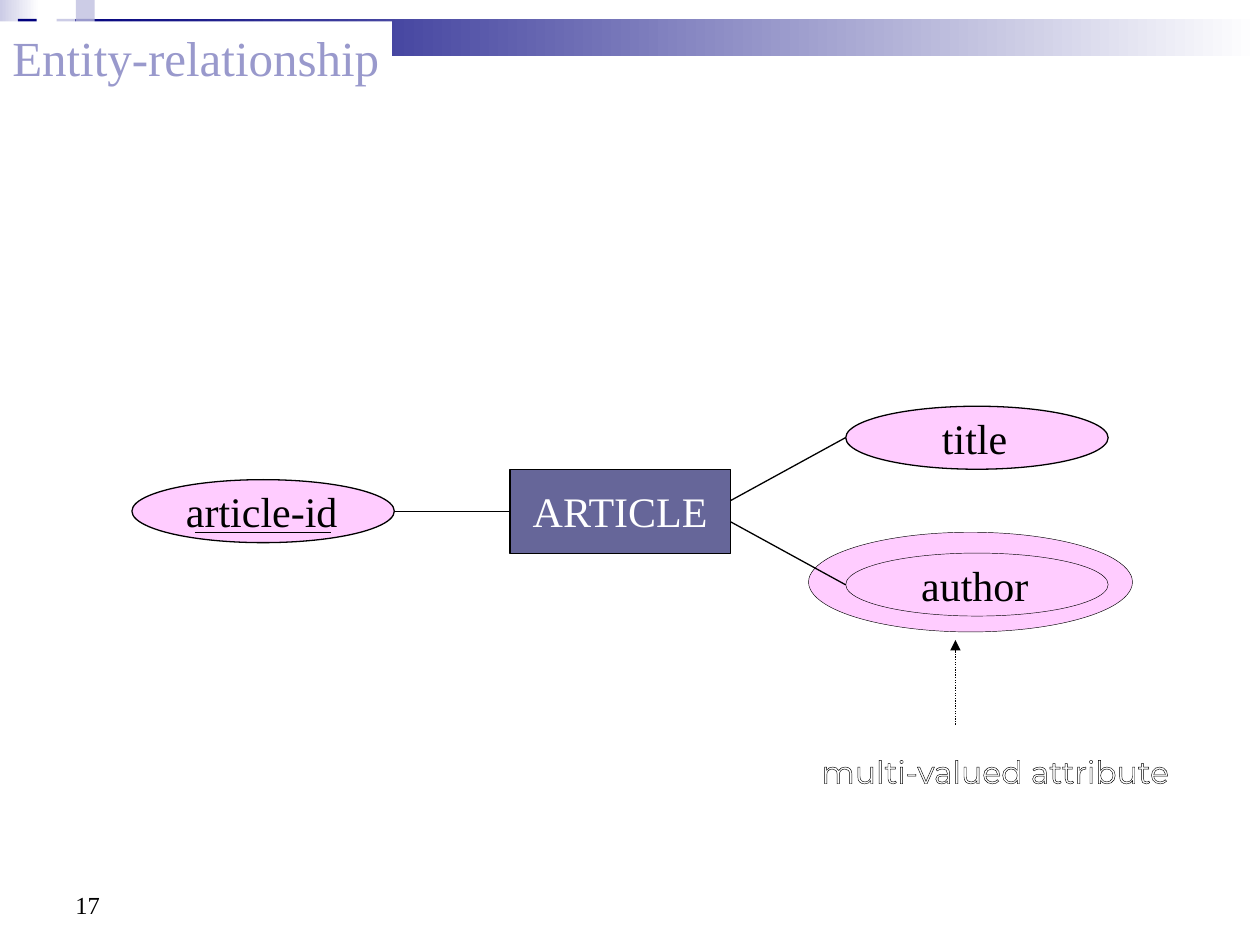
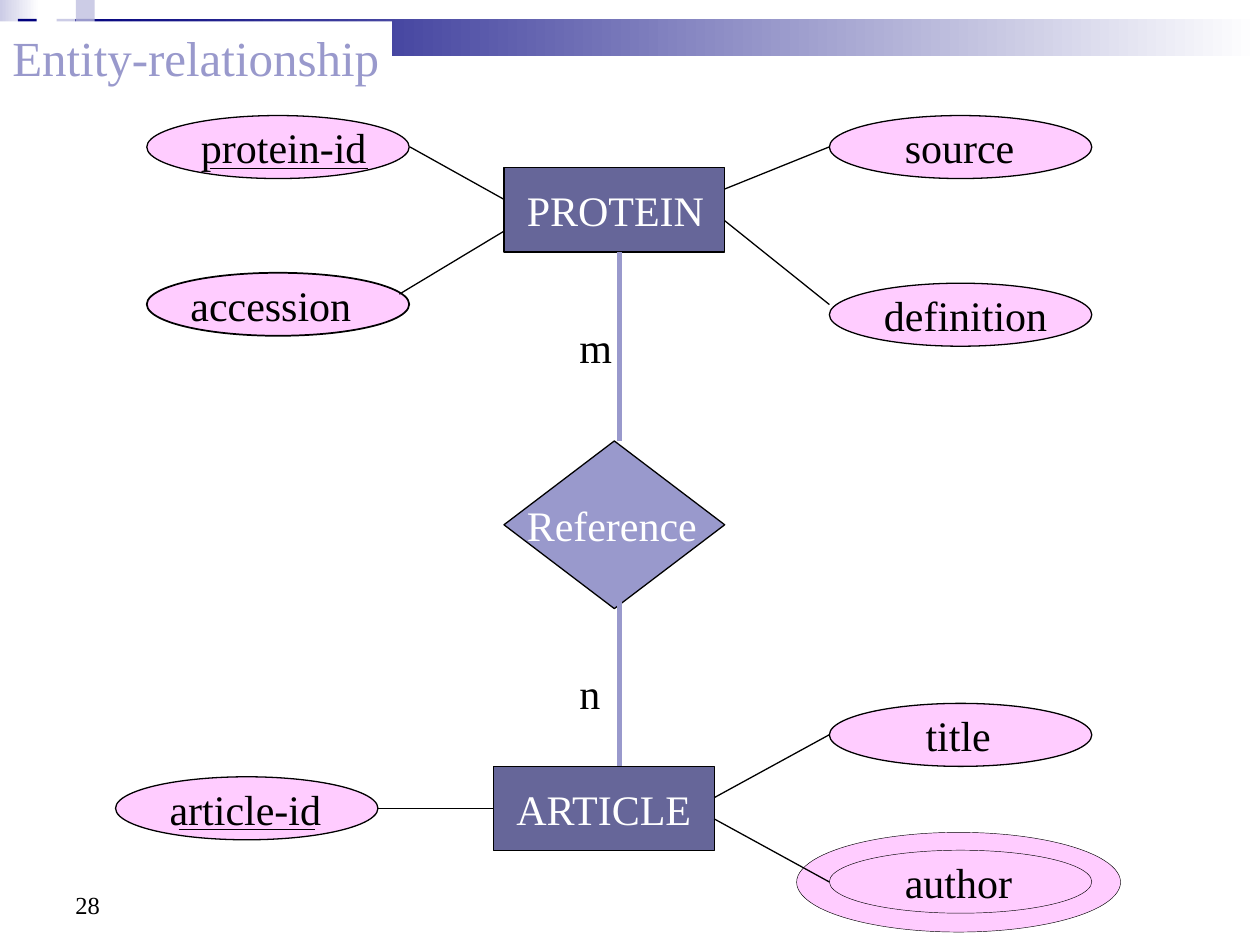
from dataclasses import dataclass

from lxml.etree import SubElement as Sub
from pptx import Presentation
from pptx.dml.color import RGBColor as Rgb
from pptx.enum.dml import MSO_LINE as Dash
from pptx.enum.shapes import MSO_CONNECTOR as Link, MSO_SHAPE as Kind
from pptx.enum.text import MSO_ANCHOR as Anchor, MSO_AUTO_SIZE as Auto
from pptx.oxml.ns import qn
from pptx.util import Cm, Pt


@dataclass(frozen=True)
class Theme:
    serif: str = "Times New Roman"
    sans: str = "Montserrat"
    black: str = "000000"
    white: str = "FFFFFF"
    navy: str = "00007D"
    pale: str = "CCCCE6"
    lilac: str = "9999CC"
    slate: str = "666699"
    pink: str = "FFCCFF"
    head: int = 28
    body: int = 24
    note: int = 18
    foot: int = 14
    hair: float = 0.25
    thin: float = 0.75
    firm: float = 1
    bold: float = 3


T = Theme()
OVAL = (5.29, 1.27)
HALO = (6.53, 2.01)
BOX = (4.45, 1.7)
LABELS = {
    "article-id": (0.84, 3.56),
    "protein-id": (0.84, 3.84),
    "accession": (0.63, 3.76),
    "definition": (0.85, 3.81),
    "source": (1.27, 2.72),
    "title": (1.69, 1.83),
    "author": (1.27, 2.67),
    "ARTICLE": (0.21, 4.06),
    "PROTEIN": (0.21, 4.09),
    "Reference": (0.21, 3.94),
}


def color(code):
    return Rgb.from_string(code)


def write(page, text, x, y, w, h=1.27, *, size=T.body, font=T.serif,
          ink=T.black, back=None, edge=None, wrap=False, grow=True,
          anchor=Anchor.TOP):
    box = page.shapes.add_textbox(Cm(x), Cm(y), Cm(w), Cm(h))
    if back:
        box.fill.solid()
        box.fill.fore_color.rgb = color(back)
    frame = box.text_frame
    frame.word_wrap = wrap
    frame.auto_size = Auto.SHAPE_TO_FIT_TEXT if grow else Auto.NONE
    frame.vertical_anchor = anchor
    run = frame.paragraphs[0].add_run()
    run.text = text
    run.font.size = Pt(size)
    run.font.name = font
    run.font.color.rgb = color(ink)
    if edge:
        props = run.font._element
        line = Sub(props, qn("a:ln"), w=str(Pt(T.thin)))
        fill = Sub(line, qn("a:solidFill"))
        Sub(fill, qn("a:srgbClr"), val=edge)
        props.insert(0, line)


def draw(page, kind, x, y, w, h, fill, fade=None, width=None):
    shape = page.shapes.add_shape(kind, Cm(x), Cm(y), Cm(w), Cm(h))
    shape.shadow.inherit = False
    if fade:
        shape.fill.gradient()
        shape.fill.gradient_angle = 0
        for stop, code in zip(shape.fill.gradient_stops, (fill, fade)):
            stop.color.rgb = color(code)
    else:
        shape.fill.solid()
        shape.fill.fore_color.rgb = color(fill)
    if width:
        shape.line.color.rgb = color(T.black)
        shape.line.width = Pt(width)
    else:
        shape.line.fill.background()
    return shape


def rule(page, x1, y1, x2, y2, ink=T.black, width=T.thin, arrow=False):
    line = page.shapes.add_connector(Link.STRAIGHT, Cm(x1), Cm(y1), Cm(x2), Cm(y2))
    line.line.color.rgb = color(ink)
    line.line.width = Pt(width)
    if arrow:
        line.line.dash_style = Dash.ROUND_DOT
        Sub(line.line._ln, qn("a:tailEnd"), type="triangle")
    Sub(line._element.spPr, qn("a:effectLst"))
    return line


def label(page, text, x, y, ink=T.black):
    shift, width = LABELS[text]
    write(page, text, x + shift, y, width, ink=ink)


def field(page, text, x, y, key=0, width=T.thin):
    draw(page, Kind.OVAL, x, y, *OVAL, T.pink, width=width)
    label(page, text, x, y)
    if key:
        rule(page, x + 1.27, y + 1.06, x + 1.27 + key, y + 1.06)


def table(page, text, x, y):
    box = draw(page, Kind.RECTANGLE, x, y, *BOX, T.slate, width=T.thin)
    label(page, text, x, y + 0.21, T.white)
    return box


def article(page, x, y, halo):
    draw(page, Kind.OVAL, *halo, *HALO, T.pink, width=T.hair)
    field(page, "article-id", x - 7.62, y + 0.21, key=2.75)
    field(page, "title", x + 6.77, y - 1.27)
    field(page, "author", x + 6.77, y + 1.69, width=T.hair)
    box = table(page, "ARTICLE", x, y)
    side = x + BOX[0]
    rule(page, side, y + 0.63, x + 6.77, y - 0.64)
    rule(page, side, y + 1.06, x + 6.77, y + 2.33)
    mid = y + BOX[1] / 2
    rule(page, x, mid, x - 2.33, mid).begin_connect(box, 1)


def start(deck, number):
    page = deck.slides.add_slide(deck.slide_layouts[6])
    draw(page, Kind.RECTANGLE, 0, 0, 0.79, 1.47, T.pale, T.white)
    draw(page, Kind.RECTANGLE, 1.14, 0.38, 24.26, 0.76, T.navy, T.white)
    tiles = ((1.14, 0.38, T.pale), (1.53, 0, T.pale),
             (1.53, 0.38, T.lilac), (0.36, 0.38, T.navy))
    for x, y, fill in tiles:
        draw(page, Kind.RECTANGLE, x, y, 0.38, 0.38, fill)
    write(page, "Entity-relationship", 0, 0.43, 7.9, 1.45,
          size=T.head, ink=T.lilac, back=T.white)
    write(page, number, 1.27, 17.35, 5.92, 1.32, size=T.foot,
          wrap=True, grow=False, anchor=Anchor.BOTTOM)
    return page


def single(deck):
    page = start(deck, "17")
    article(page, 10.28, 9.46, halo=(16.3, 10.73))
    write(page, "multi-valued attribute", 16.31, 15.04, 7.58, 0.86,
          size=T.note, font=T.sans, ink=T.white, edge=T.black, grow=False)
    rule(page, 19.26, 14.61, 19.26, 12.9, arrow=True)


def double(deck):
    page = start(deck, "28")
    draw(page, Kind.DIAMOND, 10.16, 8.89, 4.45, 3.38, T.lilac, width=T.thin)
    label(page, "Reference", 10.16, 9.95, T.white)
    field(page, "protein-id", 2.96, 2.33, key=3.18)
    field(page, "accession", 2.96, 5.5, width=T.firm)
    field(page, "definition", 16.72, 5.71)
    field(page, "source", 16.72, 2.33)
    table(page, "PROTEIN", 10.16, 3.38)
    article(page, 9.95, 15.45, halo=(16.06, 16.78))
    for ends in ((10.16, 4.02, 8.26, 2.96), (10.16, 4.66, 8.05, 5.93),
                 (14.61, 3.81, 16.72, 2.96), (14.61, 4.45, 16.72, 6.14)):
        rule(page, *ends)
    for top, base in ((8.89, 5.08), (12.07, 15.45)):
        rule(page, 12.49, top, 12.49, base, T.lilac, T.bold)
    write(page, "m", 11.43, 6.35, 1.17)
    write(page, "n", 11.43, 13.34, 0.91)


def main():
    deck = Presentation()
    deck.slide_width = Cm(25.4)
    deck.slide_height = Cm(19.05)
    single(deck)
    double(deck)
    deck.save("out.pptx")


if __name__ == "__main__":
    main()
